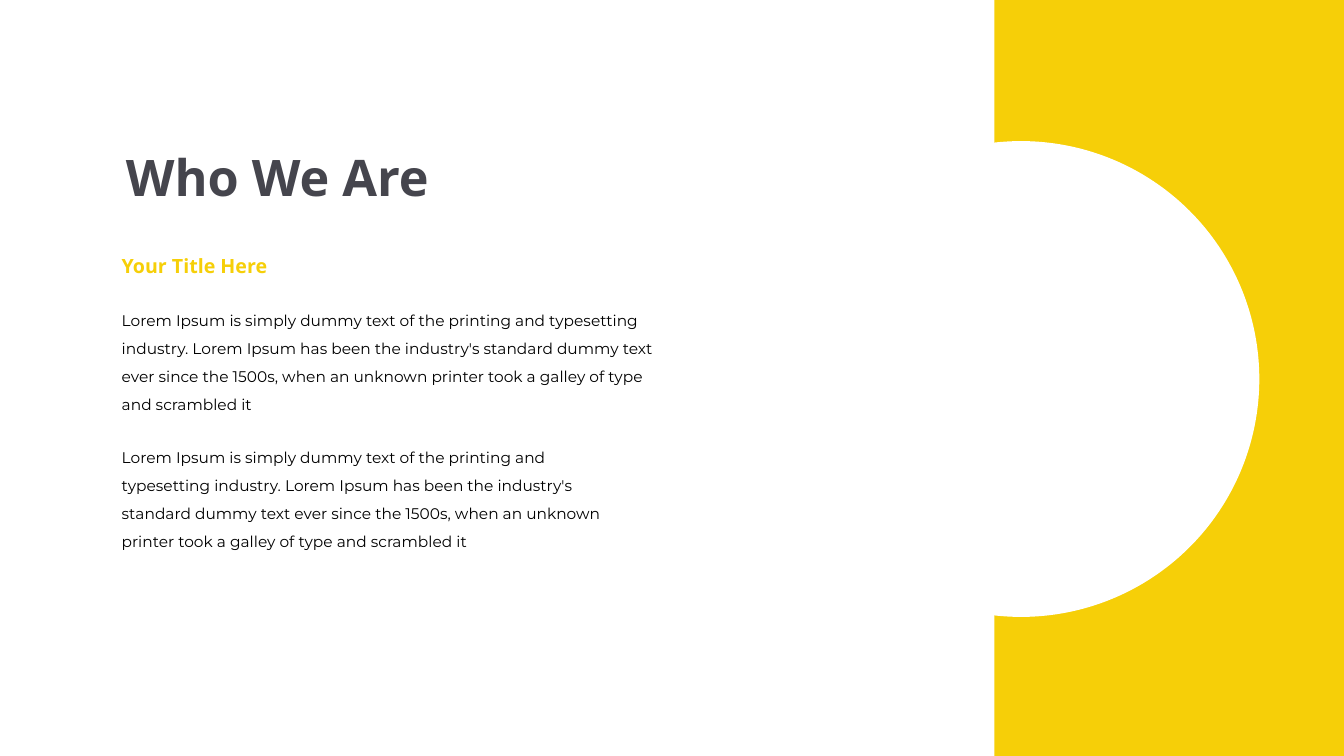
from pptx import Presentation
from pptx.dml.color import RGBColor
from pptx.enum.shapes import MSO_SHAPE
from pptx.enum.text import MSO_ANCHOR, MSO_AUTO_SIZE, PP_ALIGN
from pptx.util import Emu, Pt

PX = 9144
YELLOW = RGBColor(0xF6, 0xCF, 0x08)
WHITE = RGBColor(0xFF, 0xFF, 0xFF)
CHARCOAL = RGBColor(0x45, 0x45, 0x4D)
BLACK = RGBColor(0x00, 0x00, 0x00)
LOREM = (
    "Lorem Ipsum is simply dummy text of the printing and typesetting industry. "
    "Lorem Ipsum has been the industry's standard dummy text ever since the 1500s, "
    "when an unknown printer took a galley of type and scrambled it"
)


def px(*lengths):
    return [Emu(length * PX) for length in lengths]


def add_panel(slide, outline, box, color):
    panel = slide.shapes.add_shape(outline, *px(*box))
    panel.shadow.inherit = False
    panel.fill.solid()
    panel.fill.fore_color.rgb = color
    panel.line.fill.background()


def write(holder, text, *, size, font, color, bold=False, spacing=1.0):
    frame = holder.text_frame
    frame.word_wrap = True
    frame.auto_size = MSO_AUTO_SIZE.SHAPE_TO_FIT_TEXT
    frame.vertical_anchor = MSO_ANCHOR.TOP
    paragraph = frame.paragraphs[0]
    paragraph.alignment = PP_ALIGN.LEFT
    paragraph.line_spacing = spacing
    run = paragraph.add_run()
    run.text = text
    run.font.size = Pt(size)
    run.font.name = font
    run.font.bold = bold
    run.font.color.rgb = color


def add_title(slide, text, box, **style):
    title = slide.shapes.title
    title.left, title.top, title.width, title.height = px(*box)
    write(title, text, **style)


def add_text(slide, text, box, **style):
    write(slide.shapes.add_textbox(*px(*box)), text, **style)


def main():
    deck = Presentation()
    deck.slide_width, deck.slide_height = px(1334, 750)
    slide = deck.slides.add_slide(deck.slide_layouts[5])
    slide.background.fill.solid()
    slide.background.fill.fore_color.rgb = WHITE

    add_panel(slide, MSO_SHAPE.RECTANGLE, (987, 0, 347, 750), YELLOW)
    add_panel(slide, MSO_SHAPE.OVAL, (777, 140, 473, 472), WHITE)

    heading = dict(font="Open Sans", bold=True)
    add_title(slide, "Who We Are", (115, 140, 814, 70),
              size=36, color=CHARCOAL, **heading)
    add_text(slide, "Your Title Here", (111, 247, 303, 34),
             size=14, color=YELLOW, **heading)
    for top, width in ((295, 555), (431, 504)):
        add_text(slide, LOREM, (111, top, width, 120),
                 size=11, font="Montserrat", color=BLACK, spacing=1.5)

    deck.save("out.pptx")


if __name__ == "__main__":
    main()
